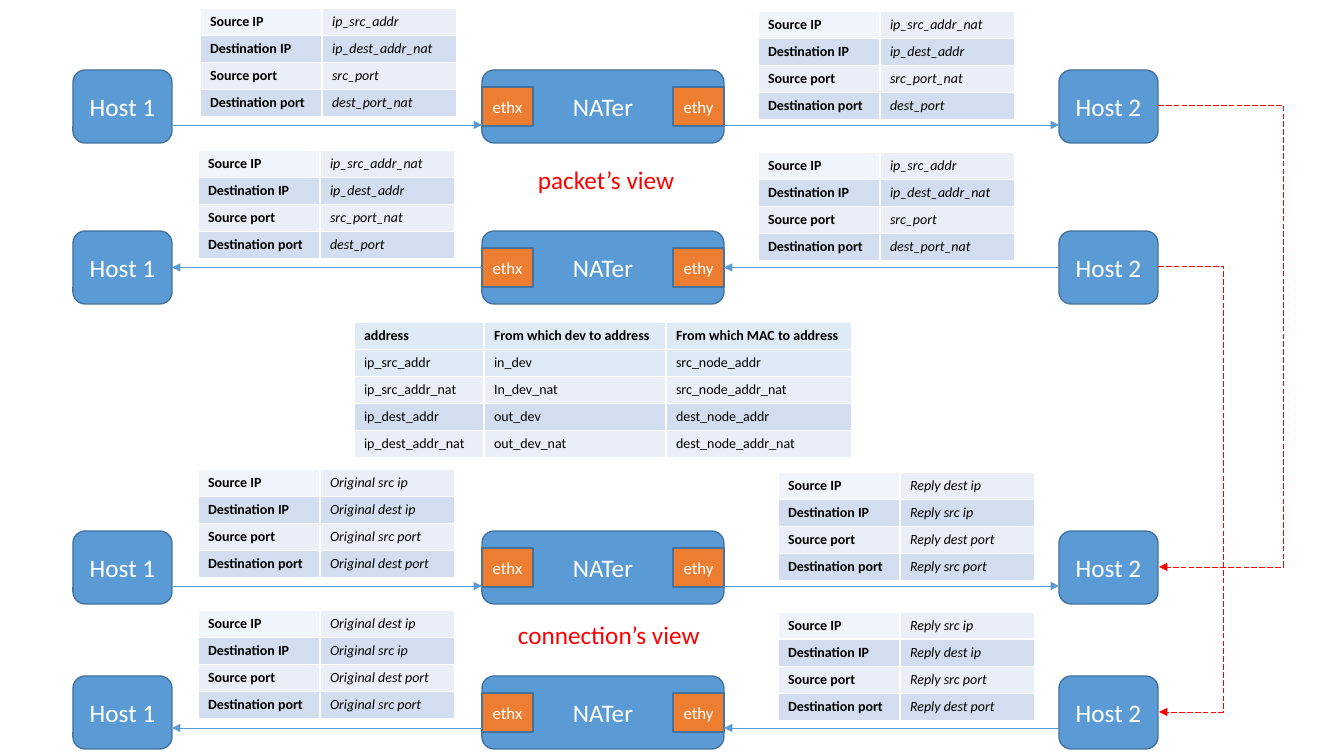
from dataclasses import dataclass

import lxml.etree
import pptx
import pptx.dml.color
import pptx.enum.dml
import pptx.enum.shapes
import pptx.enum.text
import pptx.oxml.ns
import pptx.util

EMU_PER_PX = 914400 / 100.8
SHAPE = pptx.enum.shapes.MSO_SHAPE
CONNECTOR = pptx.enum.shapes.MSO_CONNECTOR
CENTER = pptx.enum.text.PP_ALIGN.CENTER
MIDDLE = pptx.enum.text.MSO_ANCHOR.MIDDLE


@dataclass(frozen=True)
class Theme:
    font: str = "Calibri"
    node: str = "5B9BD5"
    interface: str = "ED7D31"
    outline: str = "43739E"
    light: str = "FFFFFF"
    dark: str = "000000"
    accent: str = "FF0000"
    corner: str = "EFF5FB"
    pale: str = "EAEFF7"
    band: str = "D2DEEF"
    header: str = "DEEBF7"
    node_size: int = 18
    interface_size: int = 12
    cell_size: int = 10
    outline_width: float = 1
    arrow_width: float = 0.5


THEME = Theme()
FIELDS = ("Source IP", "Destination IP", "Source port", "Destination port")
FIELD_COLUMNS = (122, 135)
ROW_HEIGHT = 27
NODE_HEIGHT = 73

SRC = ("ip_src_addr", "ip_dest_addr_nat", "src_port", "dest_port_nat")
NAT = ("ip_src_addr_nat", "ip_dest_addr", "src_port_nat", "dest_port")
ORIGINAL = ("Original src ip", "Original dest ip", "Original src port", "Original dest port")
ORIGINAL_BACK = ("Original dest ip", "Original src ip", "Original dest port", "Original src port")
REPLY = ("Reply src ip", "Reply dest ip", "Reply src port", "Reply dest port")
REPLY_BACK = ("Reply dest ip", "Reply src ip", "Reply dest port", "Reply src port")

ADDRESSES = (
    ("address", "From which dev to address", "From which MAC to address"),
    ("ip_src_addr", "in_dev", "src_node_addr"),
    ("ip_src_addr_nat", "In_dev_nat", "src_node_addr_nat"),
    ("ip_dest_addr", "out_dev", "dest_node_addr"),
    ("ip_dest_addr_nat", "out_dev_nat", "dest_node_addr_nat"),
)


def px(length):
    return pptx.util.Emu(round(length * EMU_PER_PX))


def rgb(color):
    return pptx.dml.color.RGBColor.from_string(color)


def write(frame, text, size, color, bold=False, italic=False, align=None):
    paragraph = frame.paragraphs[0]
    paragraph.alignment = align
    run = paragraph.add_run()
    run.text = text
    font = run.font
    font.name, font.size = THEME.font, pptx.util.Pt(size)
    font.bold, font.italic = bold, italic
    font.color.rgb = rgb(color)


def add_block(slide, kind, box, text, fill, size):
    block = slide.shapes.add_shape(kind, *map(px, box))
    block.shadow.inherit = False
    block.fill.solid()
    block.fill.fore_color.rgb = rgb(fill)
    block.line.color.rgb = rgb(THEME.outline)
    block.line.width = pptx.util.Pt(THEME.outline_width)
    block.text_frame.word_wrap = False
    block.text_frame.vertical_anchor = MIDDLE
    write(block.text_frame, text, size, THEME.light, align=CENTER)
    return block


def add_arrow(slide, kind, ends, color, head="tailEnd", dash=None):
    arrow = slide.shapes.add_connector(kind, *map(px, ends))
    arrow.line.color.rgb = rgb(color)
    arrow.line.width = pptx.util.Pt(THEME.arrow_width)
    if dash:
        arrow.line.dash_style = dash
    outline = arrow.line._get_or_add_ln()
    lxml.etree.SubElement(outline, pptx.oxml.ns.qn("a:" + head), type="triangle")
    lxml.etree.SubElement(arrow._element.spPr, pptx.oxml.ns.qn("a:effectLst"))
    return arrow


def add_grid(slide, left, top, columns, rows, fill_of, style_of):
    frame = slide.shapes.add_table(
        len(rows), len(columns), px(left), px(top), px(sum(columns)), px(ROW_HEIGHT * len(rows)))
    grid = frame.table
    for column, width in zip(grid.columns, columns):
        column.width = px(width)
    for r, texts in enumerate(rows):
        for c, text in enumerate(texts):
            cell = grid.cell(r, c)
            cell.fill.solid()
            cell.fill.fore_color.rgb = rgb(fill_of(r, c))
            write(cell.text_frame, text, THEME.cell_size, THEME.dark, **style_of(r, c))


def add_field_table(slide, left, top, values):
    def fill_of(r, c):
        if r == c == 0:
            return THEME.corner
        return THEME.band if r % 2 else THEME.pale

    def style_of(r, c):
        return {"bold": c == 0, "italic": c == 1}

    add_grid(slide, left, top, FIELD_COLUMNS, list(zip(FIELDS, values)), fill_of, style_of)


def add_address_table(slide, left, top):
    fills = (THEME.header, THEME.header, THEME.pale, THEME.band, THEME.pale)
    add_grid(slide, left, top, (130, 182, 186), ADDRESSES,
             lambda r, c: fills[r], lambda r, c: {"bold": r == 0})


def add_flow(slide, left, top, arrow_drop, head, tables):
    def node(x, width, text):
        return add_block(slide, SHAPE.ROUNDED_RECTANGLE, (left + x, top, width, NODE_HEIGHT),
                         text, THEME.node, THEME.node_size)

    host_1 = node(0, 99, "Host 1")
    nater = node(409, 242, "NATer")
    host_2 = node(986, 99, "Host 2")
    for x, name in ((409, "ethx"), (600, "ethy")):
        add_block(slide, SHAPE.RECTANGLE, (left + x, top + 17, 51, 39),
                  name, THEME.interface, THEME.interface_size)

    for start, end, x1, x2 in ((host_1, nater, 99, 409), (nater, host_2, 651, 986)):
        y = top + (arrow_drop or NODE_HEIGHT // 2)
        arrow = add_arrow(slide, CONNECTOR.STRAIGHT, (left + x1, y, left + x2, y), THEME.node, head)
        if arrow_drop is None:
            arrow.begin_connect(start, 3)
            arrow.end_connect(end, 1)

    for x, y, values in tables:
        add_field_table(slide, left + x, top + y, values)


def add_view_label(slide, left, top, width, text):
    label = slide.shapes.add_textbox(px(left), px(top), px(width), px(40))
    label.text_frame.word_wrap = False
    label.text_frame.auto_size = pptx.enum.text.MSO_AUTO_SIZE.SHAPE_TO_FIT_TEXT
    write(label.text_frame, text, THEME.node_size, THEME.accent)


def add_view_link(slide, left, top, bottom, reach):
    link = add_arrow(slide, CONNECTOR.ELBOW, (left, top, left + 1, bottom), THEME.accent,
                     dash=pptx.enum.dml.MSO_LINE.LONG_DASH)
    guides = link._element.spPr.prstGeom.get_or_add_avLst()
    lxml.etree.SubElement(guides, pptx.oxml.ns.qn("a:gd"), name="adj1", fmla=f"val {reach * 100000}")


def main():
    deck = pptx.Presentation()
    deck.slide_width, deck.slide_height = px(1344), px(756)
    slide = deck.slides.add_slide(deck.slide_layouts[6])

    flows = (
        (70, 55, "tailEnd", ((127, -62, SRC), (685, -59, NAT))),
        (231, None, "headEnd", ((125, -81, NAT), (685, -79, SRC))),
        (531, 55, "tailEnd", ((125, -62, ORIGINAL), (705, -59, REPLY_BACK))),
        (676, 52, "headEnd", ((125, -66, ORIGINAL_BACK), (705, -64, REPLY))),
    )
    for top, arrow_drop, head, tables in flows:
        add_flow(slide, 73, top, arrow_drop, head, tables)

    add_address_table(slide, 354, 322)
    add_view_label(slide, 528, 159, 158, "packet’s view")
    add_view_label(slide, 508, 614, 205, "connection’s view")
    add_view_link(slide, 1158, 266, 712, 66)
    add_view_link(slide, 1158, 105, 567, 126)
    deck.save("out.pptx")


if __name__ == "__main__":
    main()
